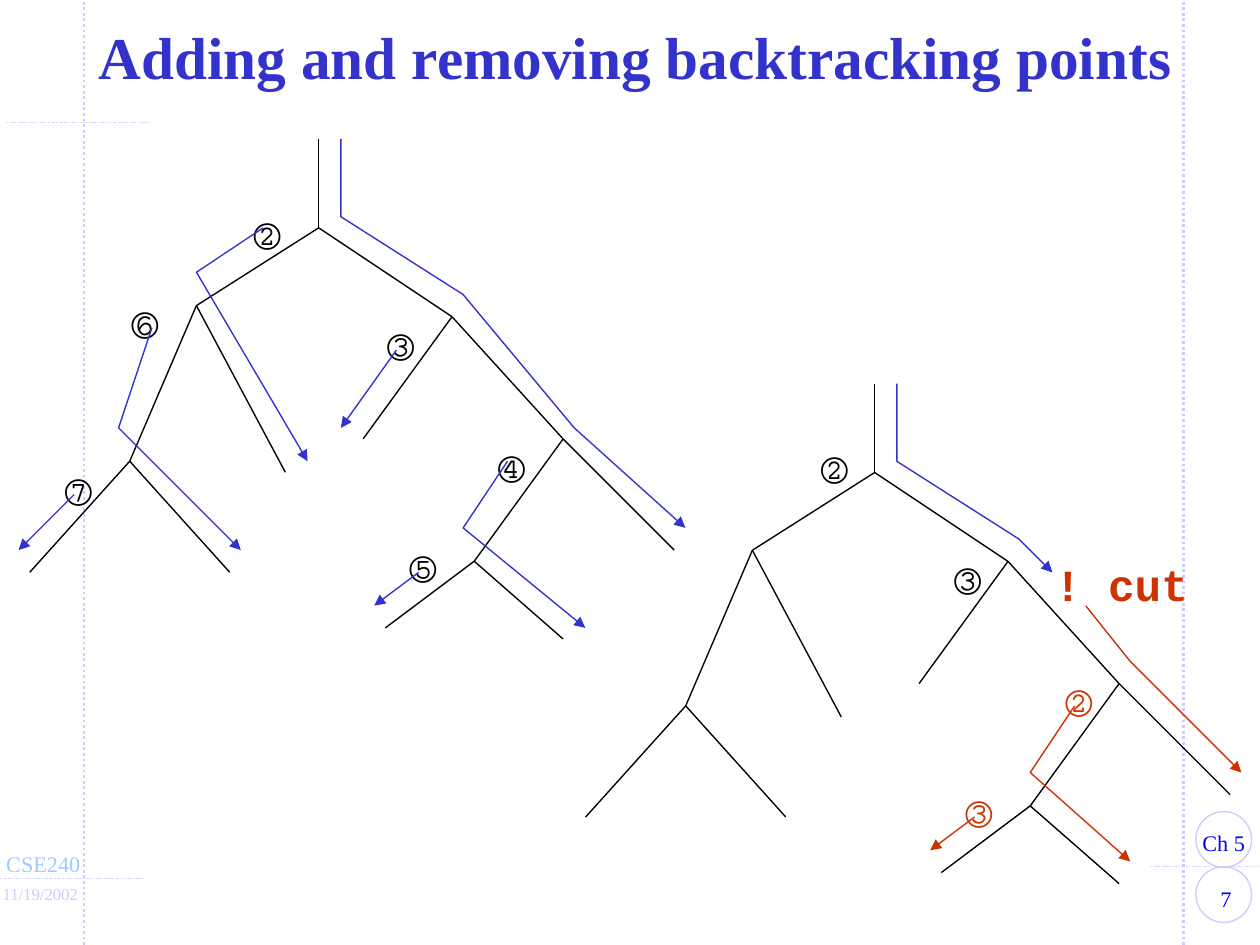
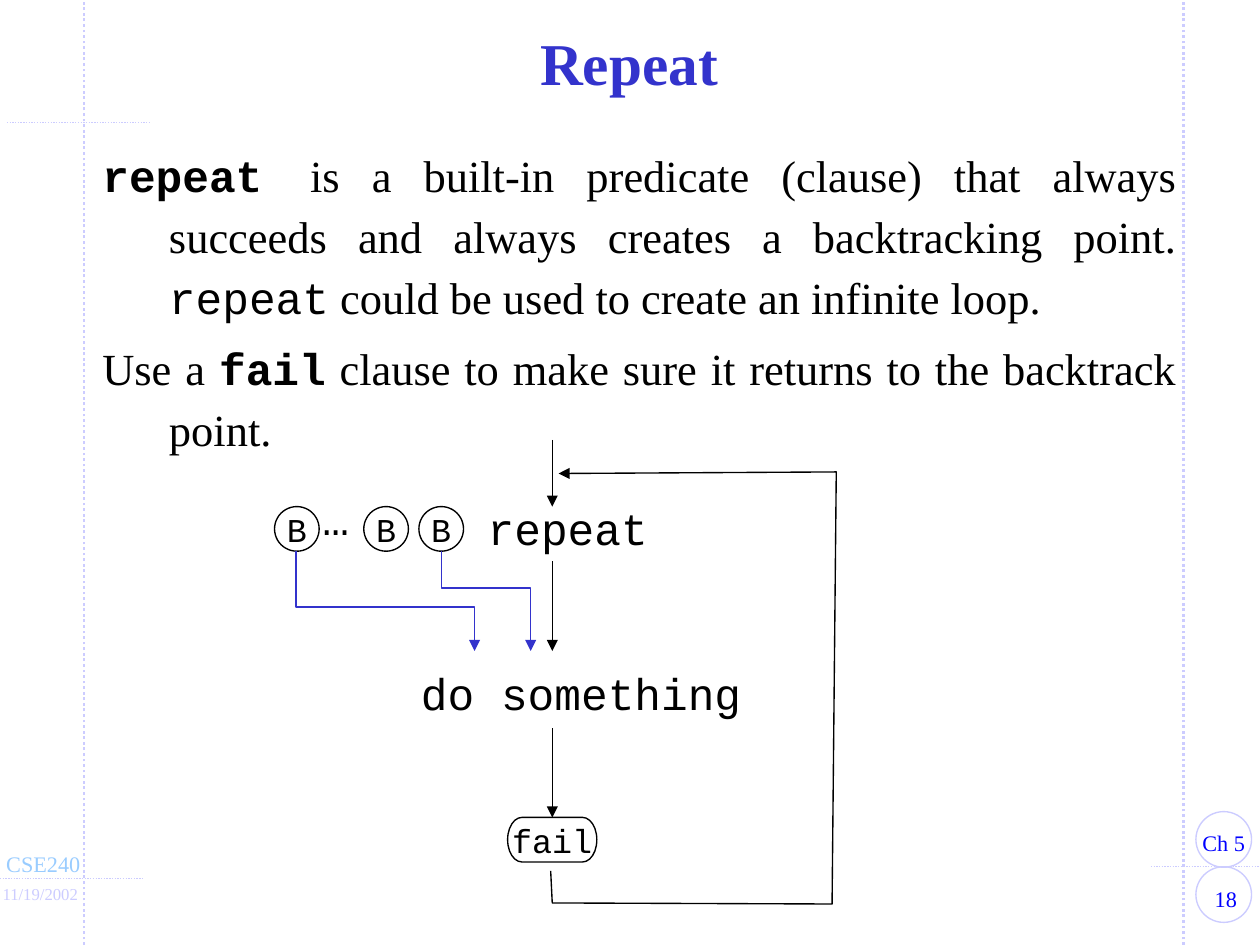
from lxml import etree
from pptx import Presentation, util as u
from pptx.dml.color import RGBColor
from pptx.enum import dml, shapes, text
from pptx.oxml.ns import qn

BLACK, BLUE, RED = "000000", "3333CC", "CC3300"
PALE, SKY, LINK = "CCCCFF", "99CCFF", "0000FF"
SERIF, MONO = "Times New Roman", "Courier New"
CENTER, JUST = text.PP_ALIGN.CENTER, text.PP_ALIGN.JUSTIFY
GRID = 2.54 / 12

TREE = [
    ((0, -8), (0, 0)), ((0, 0), (-11, 7)), ((0, 0), (12, 8)),
    ((12, 8), (4, 19)), ((12, 8), (22, 19)),
    ((22, 19), (14, 30)), ((22, 19), (32, 29)),
    ((-11, 7), (-17, 21)), ((-11, 7), (-3, 22)),
    ((-17, 21), (-26, 31)), ((-17, 21), (-8, 31)),
    ((14, 30), (6, 36)), ((14, 30), (22, 37)),
]


def paint(code):
    return RGBColor.from_string(code)


def assign(obj, fmt):
    for key, val in fmt.items():
        setattr(obj, key, val)


class Deck:
    """Hold the shared style and the current slide, and draw each kind of element."""

    def __init__(self):
        self.prs = Presentation()
        assign(self.prs, {"slide_width": u.Cm(24), "slide_height": u.Cm(18)})

    def page(self, num):
        self.slide = self.prs.slides.add_slide(self.prs.slide_layouts[6])
        self.items = self.slide.shapes
        for x in (1.6, 22.55):
            self.line((x, 18), (x, 0), PALE, 1.5, dots=True)
        for x, y, end in ((0, 16.73, 2.75), (21.92, 16.51, 24.13), (0.13, 2.33, 2.87)):
            self.line((x, y), (end, y), PALE, dots=True)
        for y in (15.46, 16.51):
            self.oval((22.78, y, 1.06, 1.06), color=PALE)
        small = {"font": SERIF, "size": 12}
        self.words((22.65, 16.74, 1.4, 0.76), num, color=LINK, align=CENTER, wrap=True, **small)
        self.words((22.65, 15.67, 1.32, 0.76), "Ch 5", color=LINK, align=CENTER, **small)
        self.words((-0.13, 16.08, 1.93, 0.76), "CSE240", color=SKY, **small)
        self.words((-0.2, 16.71, 1.96, 0.64), "11/19/2002", color=PALE, font=SERIF, size=9)

    def title(self, box, label):
        self.words(box, label, SERIF, 32, BLUE, CENTER, wrap=True, grow=False,
                   bold=True, hang=0.97, spacing=0.85, middle=True)

    def words(self, box, label, font=MONO, size=24, color=BLACK, align=None, **opts):
        item = self.items.add_textbox(*map(u.Cm, box))
        self.fill(item.text_frame, label, font, size, color, align, **opts)

    def fill(self, frame, label, font, size, color, align=None, wrap=False, grow=True,
             bold=False, hang=0, spacing=None, middle=False):
        fit = text.MSO_AUTO_SIZE
        anchor = text.MSO_ANCHOR
        assign(frame, {
            "word_wrap": wrap,
            "auto_size": fit.SHAPE_TO_FIT_TEXT if grow else fit.NONE,
            "vertical_anchor": anchor.MIDDLE if middle else anchor.TOP,
        })
        paras = [[(label, {})]] if isinstance(label, str) else label
        for i, runs in enumerate(paras):
            para = frame.add_paragraph() if i else frame.paragraphs[0]
            assign(para, {"alignment": align, "line_spacing": spacing})
            if hang:
                para.space_before = u.Pt(size * 0.2)
                props = para._p.get_or_add_pPr()
                props.set("marL", str(u.Cm(hang)))
                props.set("indent", str(-u.Cm(hang)))
            for part, extra in runs:
                run = para.add_run()
                run.text = part
                assign(run.font, {"name": font, "size": u.Pt(size), "bold": bold, **extra})
                run.font.color.rgb = paint(color)

    def stroke(self, item, color, width=0.75, arrow=False, dots=False):
        item.line.color.rgb = paint(color)
        item.line.width = u.Pt(width)
        if dots:
            item.line.dash_style = dml.MSO_LINE.ROUND_DOT
        props = item._element.spPr
        if arrow:
            etree.SubElement(props.find(qn("a:ln")), qn("a:tailEnd"), type="triangle")
        if props.find(qn("a:effectLst")) is None:
            etree.SubElement(props, qn("a:effectLst"))

    def line(self, start, end, color=BLACK, width=0.75, **opts):
        item = self.items.add_connector(
            shapes.MSO_CONNECTOR.STRAIGHT, *map(u.Cm, (*start, *end)))
        self.stroke(item, color, width, **opts)
        return item

    def route(self, pts, color=BLUE):
        if len(pts) == 2:
            return self.line(*pts, color, arrow=True)
        first, *rest = [tuple(map(u.Cm, pt)) for pt in pts]
        pen = self.items.build_freeform(*first)
        pen.add_line_segments(rest, close=False)
        item = pen.convert_to_shape()
        item.shadow.inherit = False
        item.fill.background()
        self.stroke(item, color, arrow=True)
        return item

    def oval(self, box, label="", color=BLACK, kind=shapes.MSO_SHAPE.OVAL):
        item = self.items.add_shape(kind, *map(u.Cm, box))
        item.shadow.inherit = False
        item.fill.background()
        self.stroke(item, color)
        if label:
            self.fill(item.text_frame, label, MONO, 18, BLACK, CENTER, grow=False, middle=True)
        return item

    def tree(self, root, marks, paths):
        def place(pt):
            return tuple(base + GRID * step for base, step in zip(root, pt))

        for start, end in TREE:
            self.line(place(start), place(end))
        for sign, pt, color in marks:
            self.words((*place(pt), 1.27, 1.27), sign, color=color)
        for color, pts in paths:
            self.route([place(pt) for pt in pts], color)


def search(deck):
    deck.page("7")
    deck.title((1, 0.32, 22.22, 1.7), "Adding and removing backtracking points")
    spots = [(-7, -3), (5, 7), (15, 18), (7, 27), (-18, 5), (-24, 20)]
    deck.tree(
        (6.07, 4.34),
        [(sign, pt, BLACK) for sign, pt in zip("②③④⑤⑥⑦", spots)],
        [(BLUE, pts) for pts in (
            [(2, -8), (2, -1), (13, 6), (23, 18), (33, 27)],
            [(-5, 0), (-11, 4), (-1, 21)],
            [(7, 11), (2, 18)],
            [(17, 21), (13, 27), (24, 36)],
            [(9, 31), (5, 34)],
            [(-15, 9), (-18, 18), (-7, 29)],
            [(-22, 24), (-27, 29)],
        )])
    deck.tree(
        (16.66, 9),
        [("②", (-6, -4), BLACK), ("③", (6, 6), BLACK),
         ("②", (16, 17), RED), ("③", (7, 27), RED)],
        [(BLUE, [(2, -8), (2, -1), (13, 6), (16, 9)]),
         (RED, [(19, 12), (23, 17), (33, 27)]),
         (RED, [(18, 21), (14, 27), (23, 35)]),
         (RED, [(9, 31), (5, 34)])])
    deck.words((19.84, 10.49, 3.05, 1.27), "! cut", color=RED, bold=True)


def repeat(deck):
    deck.page("18")
    deck.title((1.75, 0.43, 20.47, 1.7), "Repeat")
    code = {"name": MONO}
    strong = {"name": MONO, "bold": True}
    deck.words((1.7, 2.54, 20.96, 7.42), [
        [("repeat ", strong),
         ("is a built-in predicate (clause) that always succeeds and always "
          "creates a backtracking point. ", {}),
         ("repeat", code),
         (" could be used to create an infinite loop.", {})],
        [("Use a ", {}), ("fail", strong),
         (" clause to make sure it returns to the backtrack point.", {})],
    ], SERIF, align=JUST, wrap=True, grow=False, hang=1.27, spacing=1.15)

    mid = 10.52
    for top, end in ((8.38, 9.65), (10.69, 12.4)):
        deck.line((mid, top), (mid, end), arrow=True)
    for box, label in (((9.04, 9.42, 3.56, 1.27), "repeat"),
                       ((7.77, 12.57, 6.6, 1.27), "do something"),
                       ((5.89, 9.22, 1.02, 1.27), "…")):
        deck.words(box, label)
    for x in (5.23, 6.93, 7.98):
        deck.oval((x, 9.65, 0.85, 0.85), "B")
    fail = deck.oval((mid - 0.85, 15.57, 1.7, 0.85), "fail",
                     kind=shapes.MSO_SHAPE.FLOWCHART_TERMINATOR)
    deck.line((mid, 13.87), (mid, 15.57), arrow=True).end_connect(fail, 0)
    for x, turn, end in ((8.41, 11.2, 10.11), (5.64, 11.56, 9.04)):
        deck.route([(x, 10.5), (x, turn), (end, turn), (end, 12.4)])
    deck.route([(10.49, 16.59), (mid, 17.2), (15.85, 17.22),
                (15.93, 8.99), (10.64, 9.02)], BLACK)


def main():
    deck = Deck()
    search(deck)
    repeat(deck)
    deck.prs.save("out.pptx")


if __name__ == "__main__":
    main()
